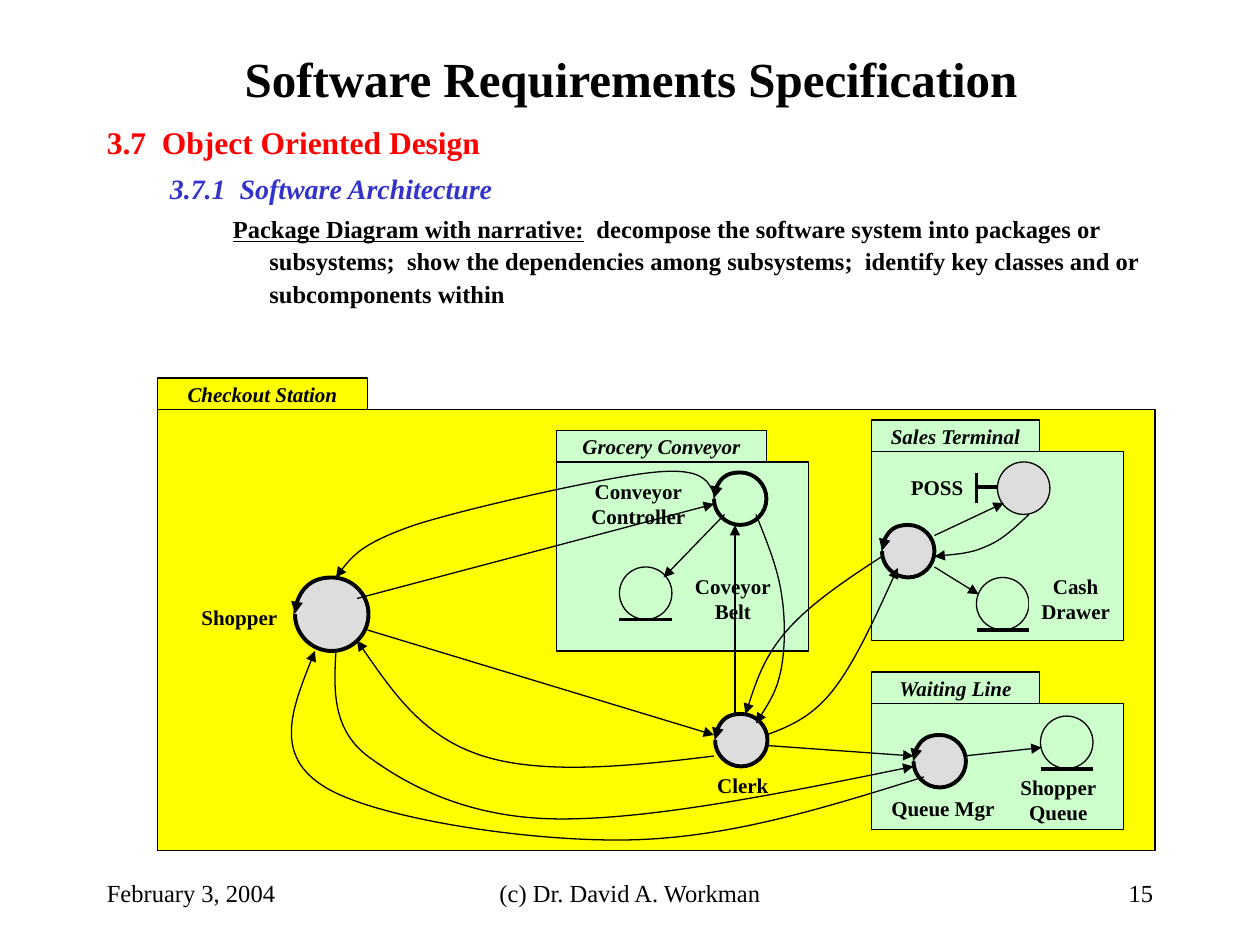
from lxml.etree import SubElement
from pptx import Presentation
from pptx.dml.color import RGBColor
from pptx.enum.shapes import MSO_CONNECTOR, MSO_SHAPE
from pptx.enum.text import MSO_ANCHOR, PP_ALIGN
from pptx.oxml.ns import qn
from pptx.util import Inches, Pt

CELL = Inches(10) // 120  # the slide is a grid of 120 columns by 90 rows
YELLOW, GREEN, GREY, BLACK = "FFFF00", "CCFFCC", "DDDDDD", "000000"
LABEL = {"size": Pt(12), "bold": True}

deck = Presentation()
deck.slide_width, deck.slide_height = 120 * CELL, 90 * CELL
slide = deck.slides.add_slide(deck.slide_layouts[6])
shapes = slide.shapes


def cells(*values):
    return [round(value * CELL) for value in values]


def style(item, fill=None, weight=None, arrow=False):
    """Fill and outline a shape or connector, without a shadow."""
    properties = item._element.spPr
    if hasattr(item, "fill"):
        if fill:
            item.fill.solid()
            item.fill.fore_color.rgb = RGBColor.from_string(fill)
        else:
            item.fill.background()
    if weight:
        item.line.width = Pt(weight)
        item.line.color.rgb = RGBColor.from_string(BLACK)
    else:
        item.line.fill.background()
    if arrow:
        SubElement(item.line._get_or_add_ln(), qn("a:tailEnd"), type="triangle")
    SubElement(properties, qn("a:effectLst"))


def write(box, paragraphs, align=PP_ALIGN.CENTER, anchor=MSO_ANCHOR.TOP, wrap=False):
    """Fill a box with paragraphs, each a list of (text, font values, colour) runs."""
    frame = box.text_frame
    frame.word_wrap, frame.vertical_anchor = wrap, anchor
    for index, runs in enumerate(paragraphs):
        paragraph = frame.paragraphs[0] if index == 0 else frame.add_paragraph()
        paragraph.alignment = align
        for text, values, color in runs:
            run = paragraph.add_run()
            run.text = text
            run.font.name = "Times New Roman"
            run.font.color.rgb = RGBColor.from_string(color)
            for key, value in values.items():
                setattr(run.font, key, value)
    return frame


# Heading and outline
title = shapes.add_textbox(*cells(9.1, 3.5, 102, 7.9))
write(title, [[("Software Requirements Specification", {"size": Pt(28), "bold": True}, BLACK)]],
      anchor=MSO_ANCHOR.MIDDLE, wrap=True)

topic = {"size": Pt(14), "bold": True}
outline = shapes.add_textbox(*cells(9, 9, 102, 23))
outline_frame = write(outline, [
    [("3.7  Object Oriented Design", {"size": Pt(18), "bold": True}, "FF0000")],
    [("3.7.1  Software Architecture", {"size": Pt(16), "bold": True, "italic": True}, "3333CC")],
    [("Package Diagram with narrative:", {**topic, "underline": True}, BLACK),
     ("  decompose the software system into packages or subsystems;  show the dependencies "
      "among subsystems;  identify key classes and or subcomponents within", topic, BLACK)],
], align=PP_ALIGN.LEFT, wrap=True)
levels = [(0.38, -0.38, 1.6, 0), (0.83, -0.33, 1.1, 4), (1.29, -0.29, 1.1, 3.5)]
for paragraph, (margin, indent, spacing, before) in zip(outline_frame.paragraphs, levels):
    paragraph.line_spacing, paragraph.space_before = spacing, Pt(before)
    paragraph._p.get_or_add_pPr().set("marL", str(Inches(margin)))
    paragraph._p.get_or_add_pPr().set("indent", str(Inches(indent)))

# Packages: a name tab on top of a body
for name, left, top, tab_width, width, height, color in [
    ("Checkout Station", 15, 36, 20, 95, 42, YELLOW),
    ("Grocery Conveyor", 53, 41, 20, 24, 18, GREEN),
    ("Sales Terminal", 83, 40, 16, 24, 18, GREEN),
    ("Waiting Line", 83, 64, 16, 24, 12, GREEN),
]:
    tab = shapes.add_shape(MSO_SHAPE.RECTANGLE, *cells(left, top, tab_width, 3))
    body = shapes.add_shape(MSO_SHAPE.RECTANGLE, *cells(left, top + 3, width, height))
    style(tab, color, 0.75)
    style(body, color, 0.75)
    write(tab, [[(name, {**LABEL, "italic": True}, BLACK)]], anchor=MSO_ANCHOR.MIDDLE)

# Classes: plain circles
for left, top, size, color in [
    (59, 54, 5, GREEN), (93, 55, 5, GREEN), (99.1, 68.2, 5, GREEN), (95, 44, 5, GREY),
    (68.1, 68, 5, GREY), (68, 45, 5, GREEN), (84, 50, 5, GREY), (87, 70, 5, GREY),
    (28, 55, 7, GREY),
]:
    circle = shapes.add_shape(MSO_SHAPE.OVAL, *cells(left, top, size, size))
    style(circle, color, 0.75)

# Labels
for lines, left, top, width, color in [
    (["Clerk"], 67.1, 73, 7.3, None),
    (["Conveyor", "Controller"], 55.1, 45, 11.4, GREEN),
    (["Coveyor", "Belt"], 65, 54, 9.6, GREEN),
    (["POSS"], 85.6, 44.6, 7.3, GREEN),
    (["Cash", "Drawer"], 98, 54, 8.9, GREEN),
    (["Queue Mgr"], 83.7, 75.2, 12.2, None),
    (["Shopper", "Queue"], 96, 73.2, 9.6, None),
    (["Shopper"], 18, 57, 9.6, None),
]:
    label = shapes.add_textbox(*cells(left, top, width, 1.2 + 2.4 * len(lines)))
    style(label, color)
    label_frame = write(label, [[(line, LABEL, BLACK)] for line in lines])
    label_frame.margin_left = label_frame.margin_right = 0

# Straight links, then the thick bars of entity and boundary classes
arrow_lines = [
    (69, 49, 63.2, 55), (89, 54, 93.2, 56.6), (89, 51, 95.6, 47.9), (91.8, 72, 99.2, 71.2),
    (35, 60, 68, 70), (34, 57, 68, 48), (70, 68, 70, 50), (73, 71, 87, 72),
]
bars = [(59, 59, 64, 59), (93, 60, 98, 60), (99.1, 73.2, 104.1, 73.2),
        (93, 45, 93, 47.9), (93, 46.4, 95, 46.4)]
for ends, weight in [(ends, 0.75) for ends in arrow_lines] + [(ends, 2.25) for ends in bars]:
    link = shapes.add_connector(MSO_CONNECTOR.STRAIGHT, *cells(*ends))
    style(link, weight=weight, arrow=weight < 1)

# Curved links: a start point, then two control points and an end point per segment
curves = [(0.75, points) for points in [
    [(98, 49), (96.7, 50.2), (95.5, 51.4), (94, 52), (92.5, 52.7), (90.7, 52.8), (89, 53)],
    [(68, 72), (59.9, 73), (51.7, 73.8), (46, 72), (40.3, 70.2), (37.2, 65.6), (34, 61)],
    [(84, 53), (80.6, 55.2), (77.2, 57.5), (75, 60), (72.8, 62.5), (71.9, 65.3), (71, 68)],
    [(68, 47), (67.4, 45.7), (66.8, 44.5), (62.1, 45), (57.4, 45.5), (44.5, 48.4), (39.5, 50),
     (34.6, 51.7), (33.2, 53.3), (32, 55)],
    [(72, 49), (73, 51.5), (74, 53.9), (74.4, 56.4), (74.8, 58.8), (74.8, 61.6), (74.4, 63.7),
     (74, 65.8), (73, 67.3), (72, 68.9)],
    [(73, 70), (75.1, 69.2), (77.2, 68.4), (79.3, 65.8), (81.4, 63.1), (83.4, 58.7), (85.5, 54.1)],
    [(32, 62), (31.8, 65.6), (31.6, 69.4), (35, 72), (38.5, 74.6), (44.3, 77.9), (53, 78),
     (61.7, 78.1), (74.3, 75.6), (87, 73)],
    [(88, 74), (78.7, 76.9), (69.5, 79.8), (60, 80), (50.5, 80.2), (36, 78), (31, 75),
     (26, 72), (28, 67), (30, 62)],
]]

# Rings of the active classes run around from the left and stop just short of closing
quarter = 0.55
ring = [(-1, 0), (-1, quarter), (-quarter, 1), (0, 1), (quarter, 1), (1, quarter), (1, 0),
        (1, -quarter), (quarter, -1), (0, -1), (-quarter, -1), (-1, -quarter), (-1, -0.02)]
for center_x, center_y, radius in [
    (70.6, 70.5, 2.5), (70.5, 47.5, 2.5), (86.5, 52.5, 2.5), (89.5, 72.5, 2.5), (31.6, 58.5, 3.5),
]:
    curves.append((2.25, [(center_x + radius * x, center_y + radius * y) for x, y in ring]))

for weight, points in curves:
    start, *rest = [cells(*point) for point in points]
    builder = shapes.build_freeform(*start)
    builder.add_line_segments(rest, close=False)
    curve = builder.convert_to_shape()
    outline_path = curve._element.find(".//" + qn("a:path"))
    segments = outline_path.findall(qn("a:lnTo"))
    for first in range(0, len(segments), 3):
        bezier = SubElement(outline_path, qn("a:cubicBezTo"))
        for segment in segments[first:first + 3]:
            bezier.append(segment[0])
            outline_path.remove(segment)
    style(curve, weight=weight, arrow=True)

# Footer
for text, left, width, align in [
    ("(c) Dr. David A. Workman", 41, 38, PP_ALIGN.CENTER),
    ("15", 86, 25, PP_ALIGN.RIGHT),
    ("February 3, 2004", 9, 25, PP_ALIGN.LEFT),
]:
    footer = shapes.add_textbox(*cells(left, 82, width, 6))
    write(footer, [[(text, {"size": Pt(14)}, BLACK)]], align, MSO_ANCHOR.MIDDLE, True)

deck.save("out.pptx")
